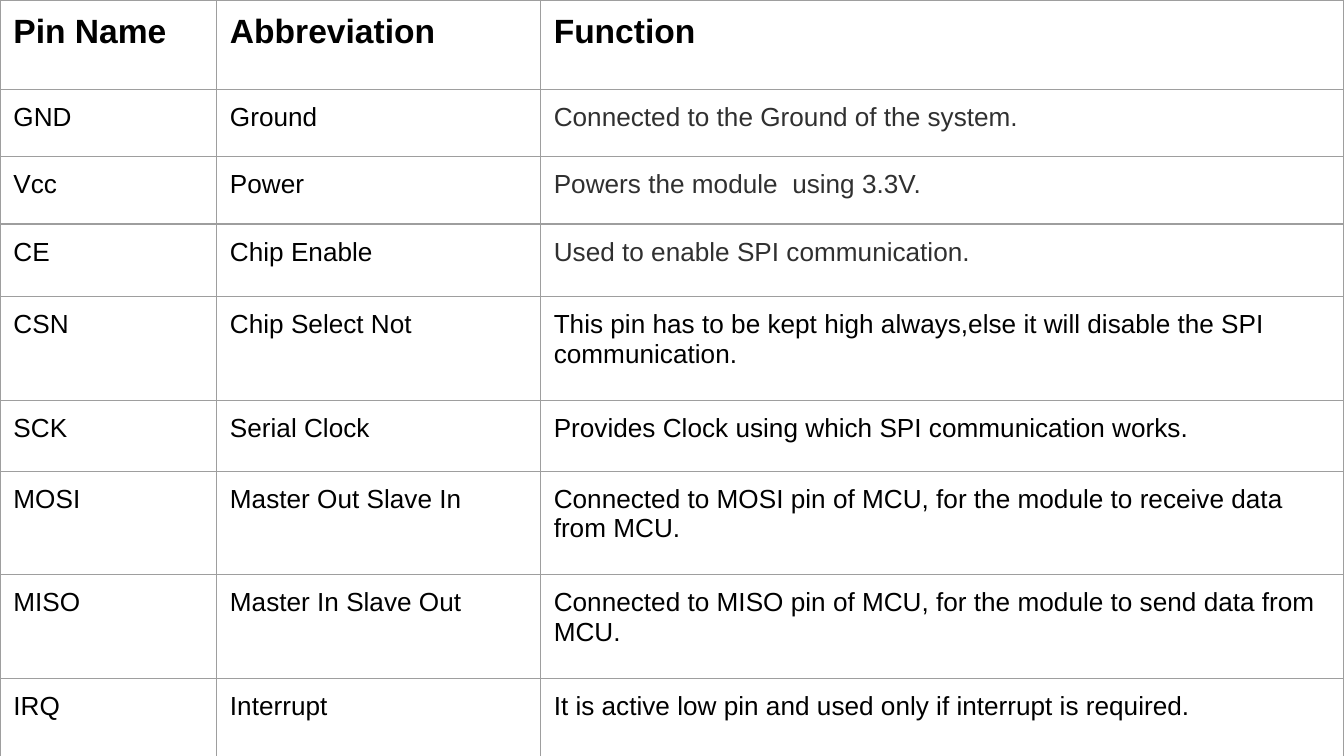
from lxml import etree
from pptx import Presentation
from pptx import util as u
from pptx.dml.color import RGBColor
from pptx.enum import text
from pptx.oxml import ns

COLORS = {"paper": "FFFFFF", "ink": "000000", "soft": "303030", "border": "9E9E9E"}

HEADINGS = ("Pin Name", "Abbreviation", "Function")
PINS = [
    ("GND", "Ground", "Connected to the Ground of the system."),
    ("Vcc", "Power", "Powers the module  using 3.3V."),
    ("CE", "Chip Enable", "Used to enable SPI communication."),
    ("CSN", "Chip Select Not",
     "This pin has to be kept high always,else it will disable the SPI communication."),
    ("SCK", "Serial Clock", "Provides Clock using which SPI communication works."),
    ("MOSI", "Master Out Slave In",
     "Connected to MOSI pin of MCU, for the module to receive data from MCU."),
    ("MISO", "Master In Slave Out",
     "Connected to MISO pin of MCU, for the module to send data from MCU."),
    ("IRQ", "Interrupt", "It is active low pin and used only if interrupt is required."),
]
SOFT_PINS = {"GND", "Vcc", "CE"}  # their function text is dark grey
COLUMN_WIDTHS = (116, 173.5, 430.5)
ROW_HEIGHTS = (48, 36, 36, 39, 55.5, 38, 55.5, 55.5, 42)


class SlideBuilder:
    font_name = "Arial"
    cell_margin = 7.2
    border_width = 0.75

    def __init__(self, page):
        self.page = page

    def table(self, left, top, widths, heights):
        frame = self.page.shapes.add_table(
            len(heights), len(widths), u.Pt(left), u.Pt(top),
            u.Pt(sum(widths)), u.Pt(sum(heights)))
        table = frame.table
        table.first_row = table.horz_banding = False
        for column, width in zip(table.columns, widths):
            column.width = u.Pt(width)
        for row, height in zip(table.rows, heights):
            row.height = u.Pt(height)
        return table

    def cell(self, cell, words, size=14, color="ink", bold=False):
        self.borders(cell)
        cell.fill.solid()
        cell.fill.fore_color.rgb = RGBColor.from_string(COLORS["paper"])
        cell.margin_left = cell.margin_right = u.Pt(self.cell_margin)
        cell.margin_top = cell.margin_bottom = u.Pt(self.cell_margin)
        cell.vertical_anchor = text.MSO_ANCHOR.TOP
        para = cell.text_frame.paragraphs[0]
        para.text = words
        para.font.name = self.font_name
        para.font.size = u.Pt(size)
        para.font.bold = bold
        para.font.color.rgb = RGBColor.from_string(COLORS[color])

    def borders(self, cell):
        properties = cell._tc.get_or_add_tcPr()
        for side in ("lnL", "lnR", "lnT", "lnB"):
            line = etree.SubElement(properties, ns.qn(f"a:{side}"),
                                    w=str(u.Pt(self.border_width)))
            fill = etree.SubElement(line, ns.qn("a:solidFill"))
            etree.SubElement(fill, ns.qn("a:srgbClr"), val=COLORS["border"])


def main():
    deck = Presentation()
    deck.slide_width, deck.slide_height = u.Pt(720), u.Pt(405)
    page = deck.slides.add_slide(deck.slide_layouts[6])
    builder = SlideBuilder(page)

    # Pin table filling the whole slide
    table = builder.table(0, 0, COLUMN_WIDTHS, ROW_HEIGHTS)

    # Heading row
    for column, heading in enumerate(HEADINGS):
        builder.cell(table.cell(0, column), heading, size=18, bold=True)

    # One row for each pin
    for row, pin in enumerate(PINS, start=1):
        for column, words in enumerate(pin):
            soft = column == 2 and pin[0] in SOFT_PINS
            builder.cell(table.cell(row, column), words, color="soft" if soft else "ink")

    deck.save("out.pptx")


if __name__ == "__main__":
    main()
